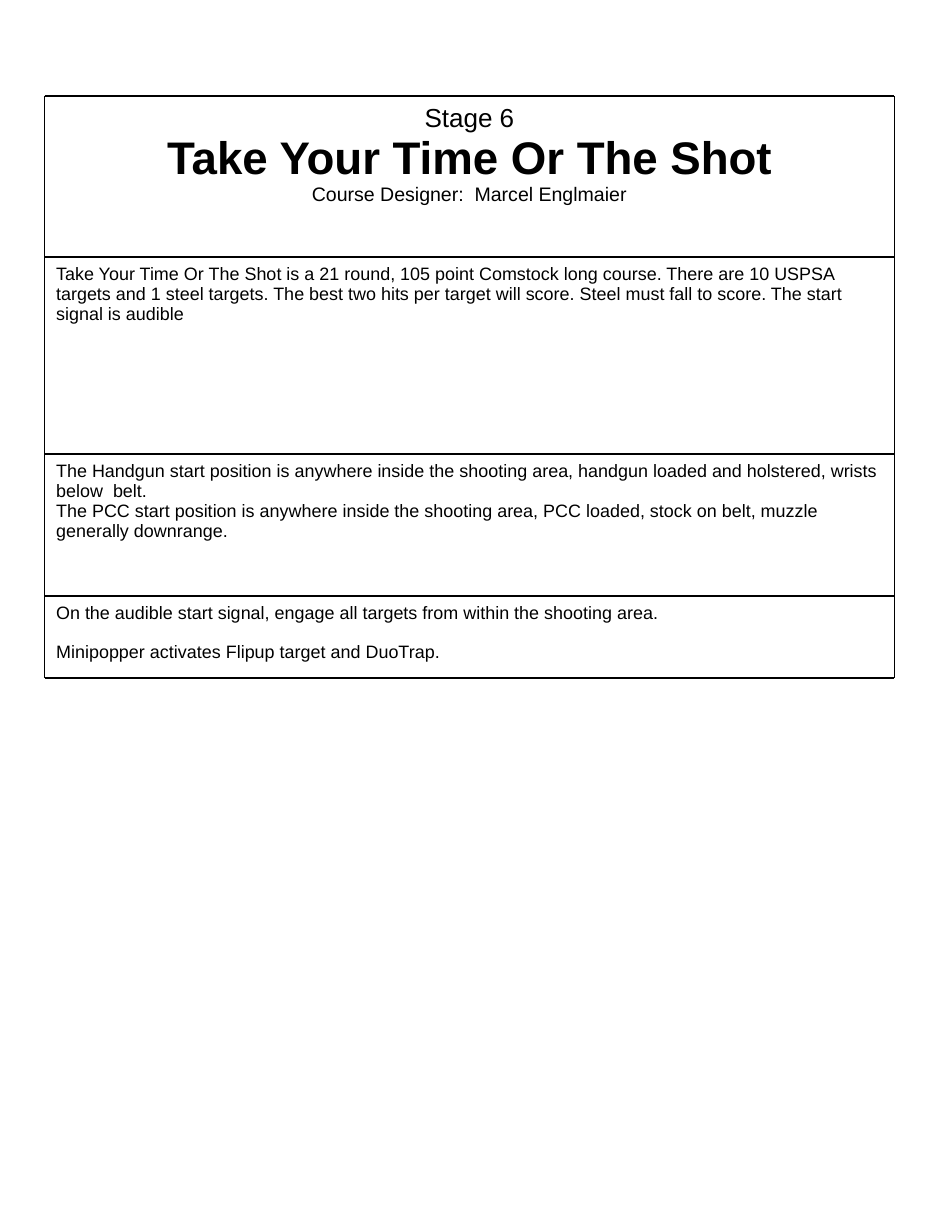
import itertools

import pptx
import pptx.dml.color
import pptx.enum.shapes
import pptx.enum.text
import pptx.oxml.ns
import pptx.util
from lxml import etree

PX = 9144
BLACK = "000000"
WHITE = "FFFFFF"
SHEET_LEFT, SHEET_WIDTH = 38, 724
ROW_EDGES = [82, 219, 387, 508, 578]

HEADING = [
    ("Stage 6", {"size": 16}),
    ("Take Your Time Or The Shot", {"size": 28, "bold": True}),
    ("Course Designer:  Marcel Englmaier", {"size": 12}),
]
SECTIONS = [
    [
        ("Take Your Time Or The Shot is a 21 round, 105 point Comstock long course. "
         "There are 10 USPSA targets and 1 steel targets. The best two hits per target "
         "will score. Steel must fall to score. The start signal is audible", {}),
    ],
    [
        ("The Handgun start position is anywhere inside the shooting area, handgun "
         "loaded and holstered, wrists below  belt.", {}),
        ("The PCC start position is anywhere inside the shooting area, PCC loaded, "
         "stock on belt, muzzle generally downrange.", {}),
    ],
    [
        ("On the audible start signal, engage all targets from within the shooting area.", {}),
        ("Minipopper activates Flipup target and DuoTrap.", {"space_before": 12}),
    ],
]


def px(length):
    """Turn px into EMU."""
    return pptx.util.Emu(length * PX)


def color(value):
    """Turn a hex string into a colour."""
    return pptx.dml.color.RGBColor.from_string(value)


def write(paragraph, text, size=11, bold=False, align="LEFT", space_before=0):
    """Fill one paragraph with formatted text."""
    paragraph.alignment = getattr(pptx.enum.text.PP_ALIGN, align)
    paragraph.line_spacing = 0.93
    paragraph.space_before = pptx.util.Pt(space_before)
    run = paragraph.add_run()
    run.text = text
    run.font.name = "Arial"
    run.font.size = pptx.util.Pt(size)
    run.font.bold = bold
    run.font.color.rgb = color(BLACK)


def fill_panel(panel, lines, top_inset, align="LEFT"):
    """Give a panel its white ground, insets and lines of text."""
    panel.fill.solid()
    panel.fill.fore_color.rgb = color(WHITE)
    frame = panel.text_frame
    frame.word_wrap = True
    frame.auto_size = pptx.enum.text.MSO_AUTO_SIZE.NONE
    frame.vertical_anchor = pptx.enum.text.MSO_ANCHOR.TOP
    frame.margin_left = frame.margin_right = px(10)
    frame.margin_top, frame.margin_bottom = px(top_inset), px(5)
    for index, (text, style) in enumerate(lines):
        paragraph = frame.add_paragraph() if index else frame.paragraphs[0]
        write(paragraph, text, align=align, **style)


def add_heading(slide, left, top, width, height):
    """Place the stage heading in the title placeholder."""
    heading = slide.shapes.title
    heading.left, heading.top = px(left), px(top)
    heading.width, heading.height = px(width), px(height)
    fill_panel(heading, HEADING, 7, "CENTER")


def add_section(slide, lines, left, top, width, height):
    """Place one section of the stage briefing."""
    section = slide.shapes.add_textbox(px(left), px(top), px(width), px(height))
    fill_panel(section, lines, 6)


def add_rule(slide, x1, y1, x2, y2):
    """Draw one thin black rule."""
    rule = slide.shapes.add_connector(
        pptx.enum.shapes.MSO_CONNECTOR.STRAIGHT, px(x1), px(y1), px(x2), px(y2))
    rule.line.color.rgb = color(BLACK)
    rule.line.width = pptx.util.Pt(0.91)
    etree.SubElement(rule._element.spPr, pptx.oxml.ns.qn("a:effectLst"))


def add_frame(slide, left, width, edges):
    """Rule the row edges and both sides of each row."""
    right = left + width
    for edge in edges:
        add_rule(slide, left, edge, right, edge)
    for side in (left, right):
        for top, bottom in itertools.pairwise(edges):
            add_rule(slide, side, top, side, bottom)


def main():
    """Build the stage briefing slide."""
    presentation = pptx.Presentation()
    presentation.slide_width, presentation.slide_height = px(800), px(1050)
    slide = presentation.slides.add_slide(presentation.slide_layouts[5])
    rows = [(SHEET_LEFT, top, SHEET_WIDTH, bottom - top)
            for top, bottom in itertools.pairwise(ROW_EDGES)]
    add_heading(slide, *rows[0])
    for lines, row in zip(SECTIONS, rows[1:]):
        add_section(slide, lines, *row)
    add_frame(slide, SHEET_LEFT, SHEET_WIDTH, ROW_EDGES)
    presentation.save("out.pptx")


if __name__ == "__main__":
    main()
